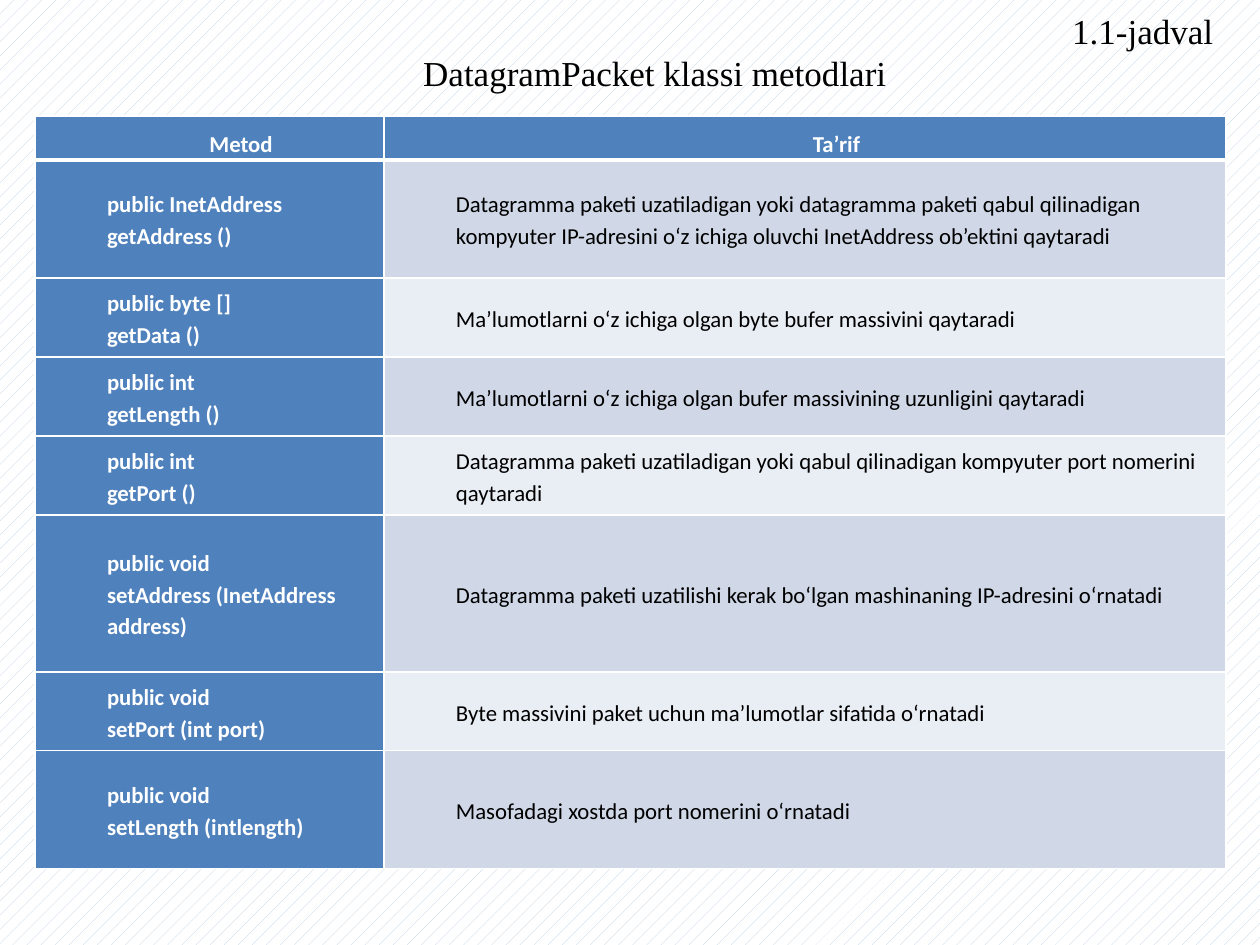
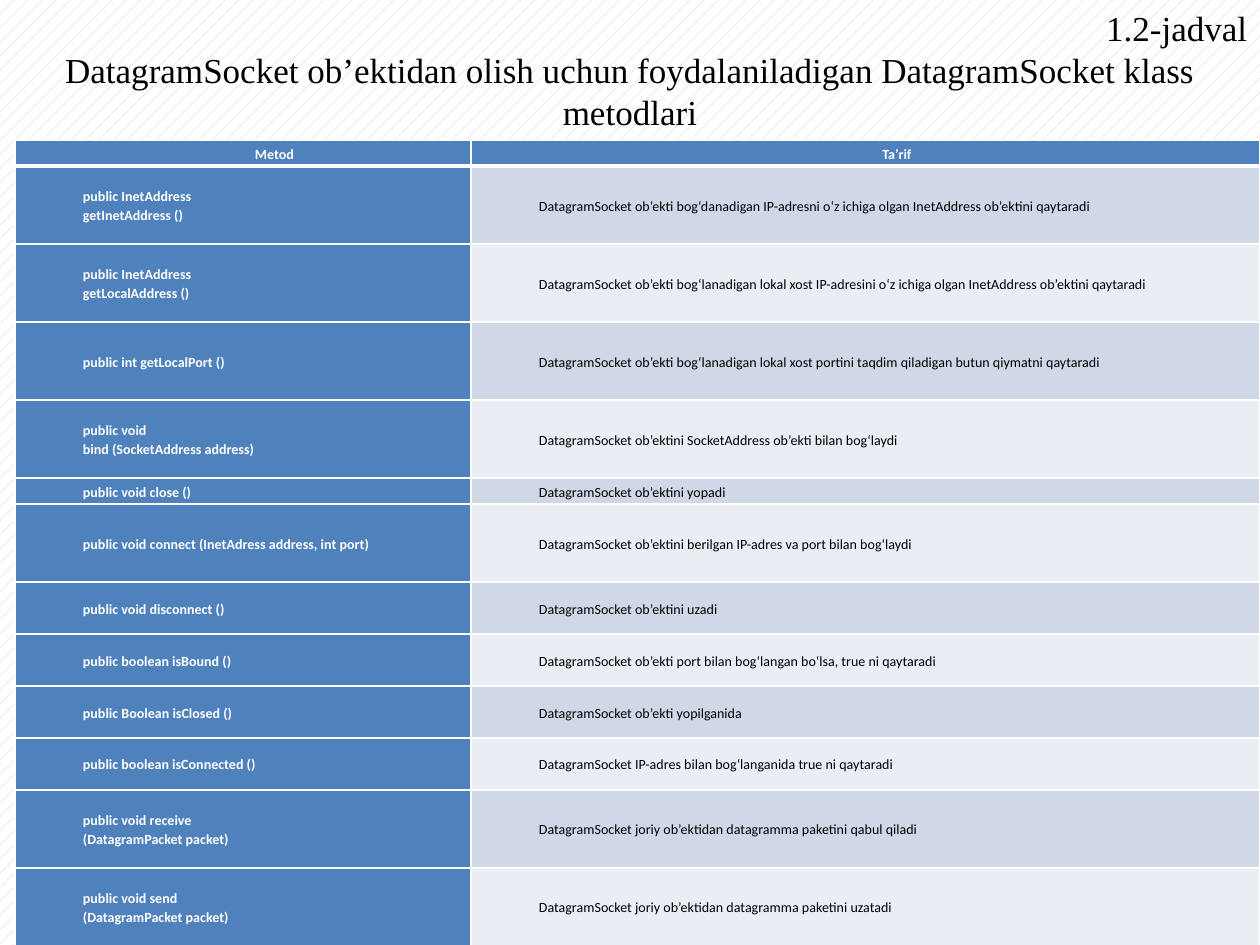
import pptx
import pptx.util
import pptx.dml.color
import pptx.enum.dml
import pptx.enum.text
import pptx.oxml
import pptx.oxml.ns

EMU_PER_PX = 914400 / 126
COLORS = {"text": "000000", "white": "FFFFFF", "blue": "4F81BD",
          "band_dark": "D0D8E8", "band_light": "E9EDF4", "hatch": "B9CDE5"}
ALIGN = pptx.enum.text.PP_ALIGN
ANCHOR = pptx.enum.text.MSO_ANCHOR
RGB = pptx.dml.color.RGBColor.from_string
INDENT = 63


def px(count):
    return pptx.util.Emu(round(count * EMU_PER_PX))


def write(frame, text, font="Calibri", size=13, color="text", bold=False,
          aligns=(ALIGN.LEFT,), spacing=1.0, indent=0):
    """Fill a text frame, one paragraph per line; the last alignment repeats."""
    for index, line in enumerate(text.split("\n")):
        para = frame.paragraphs[0] if index == 0 else frame.add_paragraph()
        properties = para._p.get_or_add_pPr()
        properties.set("marL", str(px(indent)))
        properties.set("indent", "0")
        para.alignment = aligns[min(index, len(aligns) - 1)]
        para.line_spacing = spacing
        span = para.add_run()
        span.text = line
        span.font.name = font
        span.font.size = pptx.util.Pt(size)
        span.font.bold = bold
        span.font.color.rgb = RGB(COLORS[color])


# Contents: each row is method, description, height in px
HEADER = ("Metod", "Ta’rif")
PACKET_ROWS = [
    (*HEADER, 44),
    ("public InetAddress\ngetAddress ()",
     "Datagramma paketi uzatiladigan yoki datagramma paketi qabul qilinadigan "
     "kompyuter IP-adresini o‘z ichiga oluvchi InetAddress ob’ektini qaytaradi", 118),
    ("public byte []\ngetData ()",
     "Ma’lumotlarni o‘z ichiga olgan byte bufer massivini qaytaradi", 79),
    ("public int\ngetLength ()",
     "Ma’lumotlarni o‘z ichiga olgan bufer massivining uzunligini qaytaradi", 79),
    ("public int\ngetPort ()",
     "Datagramma paketi uzatiladigan yoki qabul qilinadigan kompyuter port "
     "nomerini qaytaradi", 79),
    ("public void\nsetAddress (InetAddress address)",
     "Datagramma paketi uzatilishi kerak bo‘lgan mashinaning IP-adresini o‘rnatadi", 157),
    ("public void\nsetPort (int port)",
     "Byte massivini paket uchun ma’lumotlar sifatida o‘rnatadi", 79),
    ("public void\nsetLength (intlength)", "Masofadagi xostda port nomerini o‘rnatadi", 118),
]
SOCKET_ROWS = [
    (*HEADER, 26),
    ("public InetAddress\ngetInetAddress ()",
     "DatagramSocket ob’ekti bog‘danadigan IP-adresni o‘z ichiga olgan "
     "InetAddress ob’ektini qaytaradi", 78),
    ("public InetAddress\ngetLocalAddress ()",
     "DatagramSocket ob’ekti bog‘lanadigan lokal xost IP-adresini o‘z ichiga olgan "
     "InetAddress ob’ektini qaytaradi", 78),
    ("public int getLocalPort ()",
     "DatagramSocket ob’ekti bog‘lanadigan lokal xost portini taqdim qiladigan "
     "butun qiymatni qaytaradi", 78),
    ("public void\nbind (SocketAddress address)",
     "DatagramSocket ob’ektini SocketAddress ob’ekti bilan bog‘laydi", 78),
    ("public void close ()", "DatagramSocket ob’ektini yopadi", 26),
    ("public void connect (InetAdress address, int port)",
     "DatagramSocket ob’ektini berilgan IP-adres va port bilan bog‘laydi", 78),
    ("public void disconnect ()", "DatagramSocket ob’ektini uzadi", 52),
    ("public boolean isBound ()",
     "DatagramSocket ob’ekti port bilan bog‘langan bo‘lsa, true ni qaytaradi", 52),
    ("public Boolean isClosed ()", "DatagramSocket ob’ekti yopilganida", 52),
    ("public boolean isConnected ()",
     "DatagramSocket IP-adres bilan bog‘langanida true ni qaytaradi", 52),
    ("public void receive\n(DatagramPacket packet)",
     "DatagramSocket joriy ob’ektidan datagramma paketini qabul qiladi", 78),
    ("public void send\n(DatagramPacket packet)",
     "DatagramSocket joriy ob’ektidan datagramma paketini uzatadi", 78),
]
PAGES = [
    {"title": "1.1-jadval\nDatagramPacket klassi metodlari",
     "title_at": (84, 3, 1142, 97), "table_at": (35, 116), "columns": (349, 842),
     "rows": PACKET_ROWS, "size": 13, "inset": 9, "header_spacing": 1.5},
    {"title": "1.2-jadval\nDatagramSocket ob’ektidan olish uchun foydalaniladigan "
              "DatagramSocket klass metodlari",
     "title_at": (0, 0, 1260, 140), "table_at": (15, 140), "columns": (456, 789),
     "rows": SOCKET_ROWS, "size": 8, "inset": 5, "header_spacing": 1.15},
]

# Deck and shared background
deck = pptx.Presentation()
deck.slide_width, deck.slide_height = px(1260), px(945)
backdrop = deck.slide_master.background.fill
backdrop.patterned()
backdrop.pattern = pptx.enum.dml.MSO_PATTERN.PERCENT_10
backdrop.fore_color.rgb = RGB(COLORS["hatch"])
backdrop.back_color.rgb = RGB(COLORS["white"])

for content in PAGES:
    page = deck.slides.add_slide(deck.slide_layouts[5])

    # Table number and title
    title = page.shapes.title
    title.left, title.top, title.width, title.height = map(px, content["title_at"])
    frame = title.text_frame
    frame.word_wrap = True
    frame.auto_size = pptx.enum.text.MSO_AUTO_SIZE.SHAPE_TO_FIT_TEXT
    frame.vertical_anchor = ANCHOR.TOP
    write(frame, content["title"], font="Times New Roman", size=20,
          aligns=(ALIGN.RIGHT, ALIGN.CENTER))

    # Method table
    rows, columns = content["rows"], content["columns"]
    left, top = content["table_at"]
    height = sum(row[2] for row in rows)
    table = page.shapes.add_table(len(rows), len(columns), px(left), px(top),
                                  px(sum(columns)), px(height)).table
    for column, width in zip(table.columns, columns):
        column.width = px(width)
    for row_index, (method, description, row_height) in enumerate(rows):
        table.rows[row_index].height = px(row_height)
        is_header = row_index == 0
        for column_index, text in enumerate((method, description)):
            cell = table.cell(row_index, column_index)
            cell.vertical_anchor = ANCHOR.MIDDLE
            cell.margin_left = cell.margin_right = px(content["inset"])
            cell.margin_top = cell.margin_bottom = 0

            # White grid, heavier under the header
            weights = {"lnL": 1, "lnR": 1, "lnT": 3 if row_index == 1 else 1,
                       "lnB": 3 if is_header else 1}
            for side, weight in weights.items():
                cell._tc.get_or_add_tcPr().append(pptx.oxml.parse_xml(
                    f'<a:{side} {pptx.oxml.ns.nsdecls("a")} w="{weight * 12700}">'
                    f'<a:solidFill><a:srgbClr val="{COLORS["white"]}"/></a:solidFill>'
                    f'</a:{side}>'))

            is_blue = is_header or column_index == 0
            band = "band_dark" if row_index % 2 else "band_light"
            cell.fill.solid()
            cell.fill.fore_color.rgb = RGB(COLORS["blue" if is_blue else band])
            write(cell.text_frame, text, size=content["size"], bold=is_blue,
                  color="white" if is_blue else "text", indent=INDENT,
                  aligns=(ALIGN.CENTER if is_header else ALIGN.LEFT,),
                  spacing=content["header_spacing"] if is_header else 1.15)

deck.save("out.pptx")
